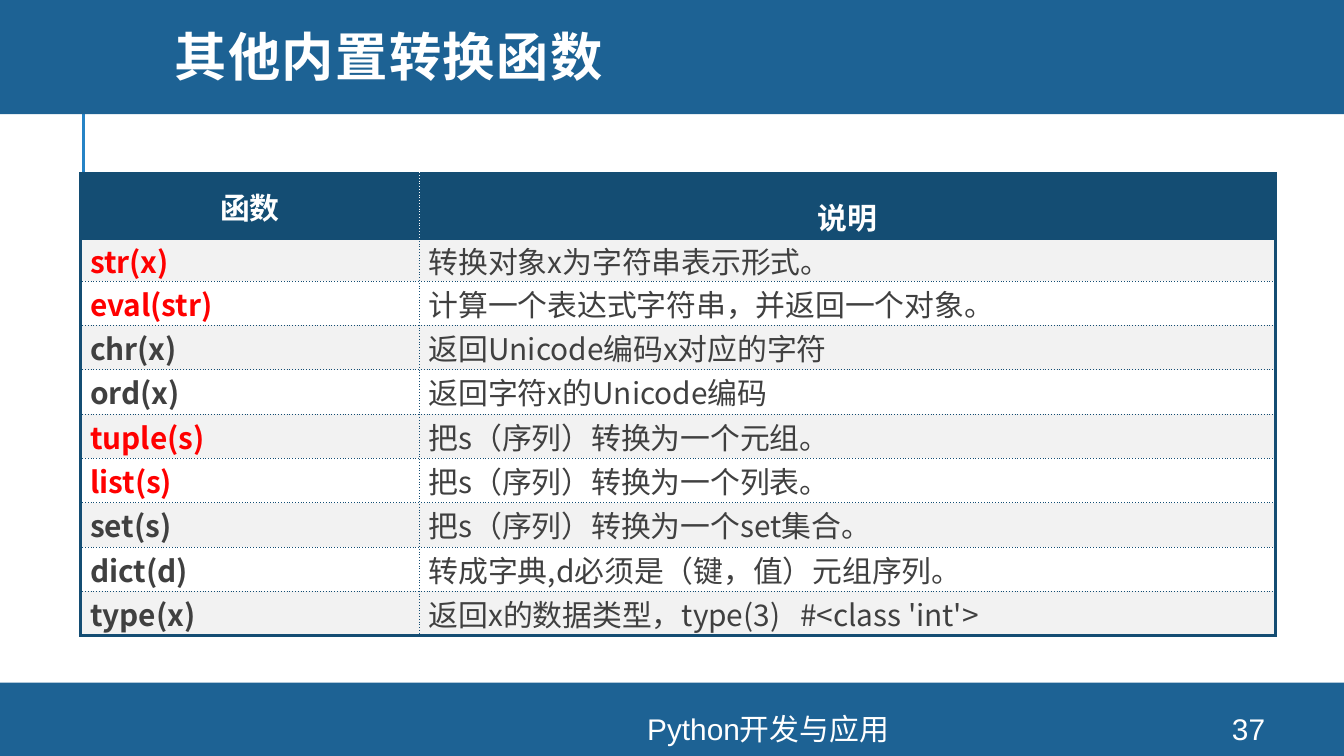
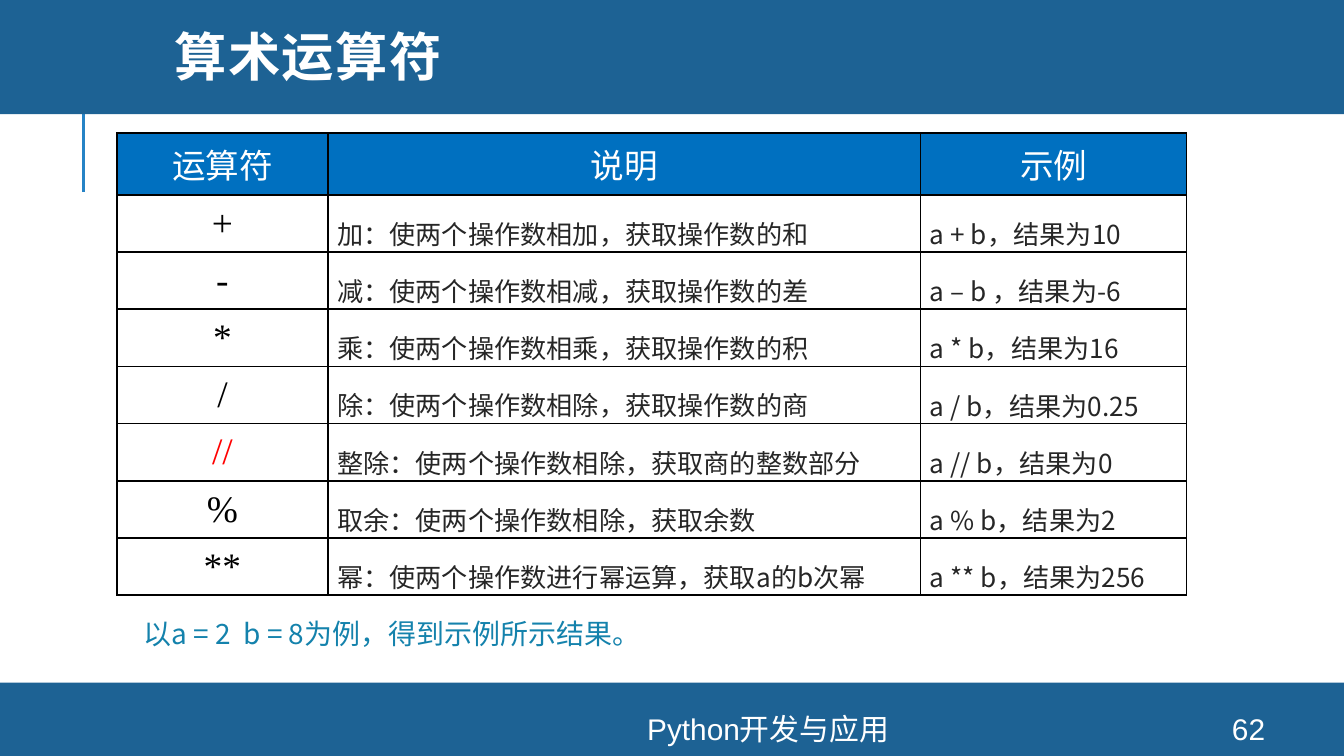
from lxml import etree
from pptx import Presentation
from pptx import util as u
from pptx.dml import color
from pptx.enum import shapes, text
from pptx.oxml import ns

WIDE = 10
HIGH = WIDE * 9 / 16
BAND, RULE, NAVY, HEAD = "1D6294", "2683C6", "144D73", "0070C0"
WHITE, BLACK, RED, TEAL = "FFFFFF", "000000", "FF0000", "1482AC"
GREY, DARK, INK = "F2F2F2", "404040", "262626"
SANS, LATIN, SERIF = "Noto Sans CJK SC", "Arial", "Times New Roman"
ALIGN = {"l": text.PP_ALIGN.LEFT, "c": text.PP_ALIGN.CENTER, "j": text.PP_ALIGN.JUSTIFY}
TOP, MID = text.MSO_ANCHOR.TOP, text.MSO_ANCHOR.MIDDLE

CASTS = [
    ("str(x)", "转换对象x为字符串表示形式。"),
    ("eval(str)", "计算一个表达式字符串，并返回一个对象。"),
    ("chr(x)", "返回Unicode编码x对应的字符"),
    ("ord(x)", "返回字符x的Unicode编码"),
    ("tuple(s)", "把s（序列）转换为一个元组。"),
    ("list(s)", "把s（序列）转换为一个列表。"),
    ("set(s)", "把s（序列）转换为一个set集合。"),
    ("dict(d)", "转成字典,d必须是（键，值）元组序列。"),
    ("type(x)", "返回x的数据类型，type(3)   #<class 'int'>"),
]
KEY_CASTS = {"str(x)", "eval(str)", "tuple(s)", "list(s)"}

SIGNS = [
    ("+", "加：使两个操作数相加，获取操作数的和", "a + b，结果为10"),
    ("-", "减：使两个操作数相减，获取操作数的差", "a – b ，结果为-6"),
    ("*", "乘：使两个操作数相乘，获取操作数的积", "a * b，结果为16"),
    ("/", "除：使两个操作数相除，获取操作数的商", "a / b，结果为0.25"),
    ("//", "整除：使两个操作数相除，获取商的整数部分", "a // b，结果为0"),
    ("%", "取余：使两个操作数相除，获取余数", "a % b，结果为2"),
    ("**", "幂：使两个操作数进行幂运算，获取a的b次幂", "a ** b，结果为256"),
]


def rgb(code):
    return color.RGBColor.from_string(code)


def inches(*sizes):
    return [u.Inches(size) for size in sizes]


def write(frame, words, size=16, font=LATIN, ink=WHITE, bold=False,
          align="l", space=1.0, track=0):
    para = frame.paragraphs[0]
    para.alignment = ALIGN[align]
    para.line_spacing = space
    run = para.add_run()
    run.text = words
    run.font.size = u.Pt(size)
    run.font.name = font
    run.font.bold = bold
    run.font.color.rgb = rgb(ink)
    props = run.font._element
    etree.SubElement(props, ns.qn("a:ea")).set("typeface", SANS)
    if track:
        props.set("spc", str(round(track * 100)))


def label(slide, box, words, **style):
    frame = slide.shapes.add_textbox(*inches(*box)).text_frame
    frame.word_wrap = True
    frame.vertical_anchor = MID
    write(frame, words, **style)
    return frame


def band(slide, top, height):
    bar = slide.shapes.add_shape(shapes.MSO_SHAPE.RECTANGLE, *inches(0, top, WIDE, height))
    bar.shadow.inherit = False
    bar.fill.solid()
    bar.fill.fore_color.rgb = rgb(BAND)
    bar.line.fill.background()


def rule(slide, x, start, end):
    line = slide.shapes.add_connector(shapes.MSO_CONNECTOR.STRAIGHT, *inches(x, start, x, end))
    line.line.color.rgb = rgb(RULE)
    line.line.width = u.Pt(1.5)
    etree.SubElement(line.element.spPr, ns.qn("a:effectLst"))


def base(deck, title, page, font):
    """Add a slide with its bands, title and footer."""
    slide = deck.slides.add_slide(deck.slide_layouts[5])
    rule(slide, 0.62, 1.43, 0.68)
    band(slide, 5.08, HIGH - 5.08)
    band(slide, -0.03, 0.88)
    head = slide.shapes.title
    head.element.getparent().append(head.element)
    head.left, head.top, head.width, head.height = inches(1.2, 0, 8.49, 0.91)
    frame = head.text_frame
    frame.auto_size = text.MSO_AUTO_SIZE.NONE
    frame.vertical_anchor = MID
    write(frame, title, size=28, font=font, bold=True, space=0.8, track=0.8)
    label(slide, (2.61, 5.31, 6.21, 0.23), "Python开发与应用", align="c")
    label(slide, (8.89, 5.31, 0.8, 0.23), str(page), align="c")
    return slide


def grid(slide, left, top, cols, rows):
    box = inches(left, top, sum(cols), sum(rows))
    table = slide.shapes.add_table(len(rows), len(cols), *box).table
    for col, size in zip(table.columns, cols):
        col.width = u.Inches(size)
    for row, size in zip(table.rows, rows):
        row.height = u.Inches(size)
    return table


def edge(cell, **sides):
    """Draw the sides L, R, T, B, each given as (colour, points, dash)."""
    props = cell._tc.get_or_add_tcPr()
    for spot, side in enumerate("LRTB"):
        code, width, dash = sides[side]
        line = etree.Element(ns.qn("a:ln" + side), w=str(u.Pt(width)))
        fill = etree.SubElement(line, ns.qn("a:solidFill"))
        etree.SubElement(fill, ns.qn("a:srgbClr"), val=code)
        etree.SubElement(line, ns.qn("a:prstDash"), val=dash)
        props.insert(spot, line)


def put(cell, words, fill=None, anchor=MID, tight=True, **style):
    if fill:
        cell.fill.solid()
        cell.fill.fore_color.rgb = rgb(fill)
    else:
        cell.fill.background()
    cell.vertical_anchor = anchor
    if tight:
        cell.margin_left = cell.margin_right = u.Inches(0.07)
        cell.margin_top = cell.margin_bottom = 0
    write(cell.text_frame, words, **style)


def casts(slide, left, top):
    table = grid(slide, left, top, [2.52, 6.37], [0.49, 0.31] + [0.33] * 8)
    put(table.cell(0, 0), "函数", NAVY, bold=True, align="c")
    put(table.cell(0, 1), "说明", NAVY, TOP, bold=True, align="c", space=1.5)
    for row, (name, note) in enumerate(CASTS, 1):
        fill = GREY if row % 2 else WHITE
        ink = RED if name in KEY_CASTS else DARK
        put(table.cell(row, 0), name, fill, font=SANS, ink=ink, bold=True, align="j")
        put(table.cell(row, 1), note, fill, font=SANS, ink=DARK, align="j")
    solid, dots = (NAVY, 1.5, "solid"), (NAVY, 0.25, "sysDot")
    last = len(CASTS)
    for row in range(last + 1):
        inner = dots if row else (WHITE, 0.25, "sysDot")
        upper = solid if row < 2 else dots
        lower = solid if row in (0, last) else dots
        edge(table.cell(row, 0), L=solid, R=inner, T=upper, B=lower)
        edge(table.cell(row, 1), L=inner, R=solid, T=upper, B=lower)


def signs(slide, left, top):
    count = len(SIGNS)
    table = grid(slide, left, top, [1.57, 4.41, 1.98], [0.46] + [2.98 / count] * count)
    for col, name in enumerate(("运算符", "说明", "示例")):
        put(table.cell(0, col), name, HEAD, TOP, tight=False, size=18, align="c")
    body = dict(size=14, font=SANS, ink=INK, align="j", space=1.5)
    for row, (sign, note, case) in enumerate(SIGNS, 1):
        ink = RED if sign == "//" else BLACK
        put(table.cell(row, 0), sign, size=20, font=SERIF, ink=ink, align="c")
        put(table.cell(row, 1), note, anchor=TOP, **body)
        put(table.cell(row, 2), case, **body)
    for cell in table.iter_cells():
        edge(cell, **dict.fromkeys("LRTB", (BLACK, 1, "solid")))


def main():
    deck = Presentation()
    deck.slide_width, deck.slide_height = inches(WIDE, HIGH)
    casts(base(deck, "其他内置转换函数", 37, "Montserrat"), 0.6, 1.29)
    slide = base(deck, "算术运算符", 62, SANS)
    signs(slide, 0.87, 0.99)
    frame = label(slide, (1, 4.5, 8.38, 0.46), "以a = 2  b = 8为例，得到示例所示结果。",
                  size=15, font=SANS, ink=TEAL, space=0.9)
    frame.margin_left = frame.margin_right = u.Inches(0.07)
    frame.margin_top = frame.margin_bottom = u.Inches(0.04)
    deck.save("out.pptx")


if __name__ == "__main__":
    main()
